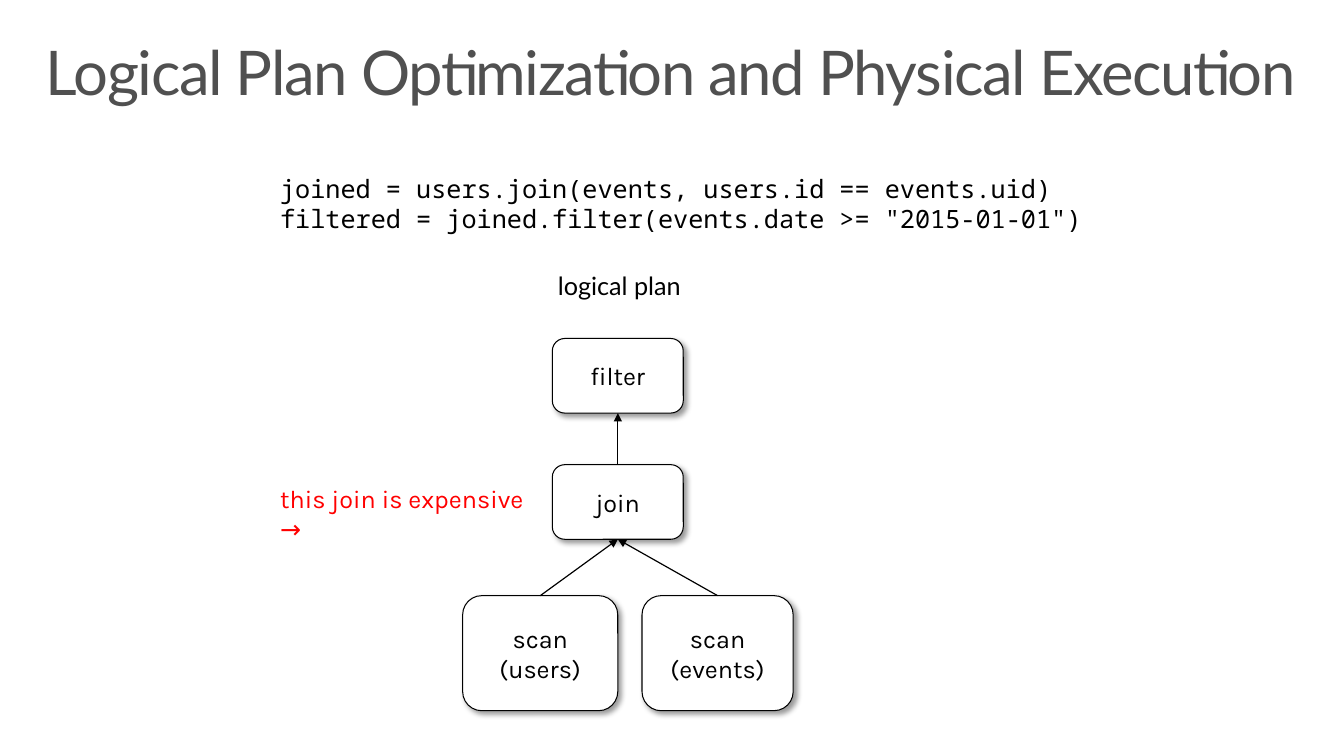
import dataclasses

import pptx
import pptx.dml.color
import pptx.enum.shapes
import pptx.enum.text
import pptx.oxml
import pptx.oxml.ns
import pptx.util

Cm = pptx.util.Cm
Pt = pptx.util.Pt
RGB = pptx.dml.color.RGBColor
ALIGN = pptx.enum.text.PP_ALIGN
ANCHOR = pptx.enum.text.MSO_ANCHOR
NS = pptx.oxml.ns.nsdecls("a")


@dataclasses.dataclass(frozen=True)
class Theme:
    ink: RGB = RGB(0x00, 0x00, 0x00)
    paper: RGB = RGB(0xFF, 0xFF, 0xFF)
    heading: RGB = RGB(0x50, 0x50, 0x50)
    warning: RGB = RGB(0xFF, 0x00, 0x00)
    sans: str = "Lato"
    node: str = "Karla"
    mono: str = "Noto Sans Mono"
    title_size: float = 44
    body_size: float = 18
    outline: float = 0.75
    arrow: float = 0.85


THEME = Theme()


def write(tf, lines, font, color, size=THEME.body_size, align=ALIGN.LEFT,
          anchor=ANCHOR.TOP, insets=(0.33, 0.18)):
    tf.word_wrap = True
    tf.auto_size = pptx.enum.text.MSO_AUTO_SIZE.NONE
    tf.vertical_anchor = anchor
    tf.margin_left = tf.margin_right = Cm(insets[0])
    tf.margin_top = tf.margin_bottom = Cm(insets[1])
    for i, line in enumerate(lines):
        p = tf.paragraphs[0] if i == 0 else tf.add_paragraph()
        p.alignment = align
        r = p.add_run()
        r.text = line
        r.font.name = font
        r.font.size = Pt(size)
        r.font.color.rgb = color


def add_title(s, box, text):
    sp = s.shapes.title
    sp.left, sp.top, sp.width, sp.height = map(Cm, box)
    write(sp.text_frame, [text], THEME.sans, THEME.heading, THEME.title_size,
          insets=(0.41, 0.25))
    p = sp.text_frame.paragraphs[0]
    p.line_spacing = 0.9
    p.space_before = Pt(0)
    p.runs[0].font._element.set("spc", "-100")


def add_text(s, box, lines, font, color, **style):
    sp = s.shapes.add_textbox(*map(Cm, box))
    write(sp.text_frame, lines, font, color, **style)


def add_node(s, box, lines):
    sp = s.shapes.add_shape(
        pptx.enum.shapes.MSO_SHAPE.ROUNDED_RECTANGLE, *map(Cm, box))
    sp.fill.solid()
    sp.fill.fore_color.rgb = THEME.paper
    sp.line.color.rgb = THEME.ink
    sp.line.width = Pt(THEME.outline)
    sp.shadow.inherit = False
    effects = sp._element.spPr.find(pptx.oxml.ns.qn("a:effectLst"))
    effects.append(pptx.oxml.parse_xml(
        f'<a:outerShdw {NS} blurRad="{Pt(4)}" dist="{Pt(3)}" dir="2700000" '
        f'algn="tl" rotWithShape="0"><a:srgbClr val="{THEME.ink}">'
        '<a:alpha val="40000"/></a:srgbClr></a:outerShdw>'))
    write(sp.text_frame, lines, THEME.node, THEME.ink, align=ALIGN.CENTER,
          anchor=ANCHOR.MIDDLE, insets=(0, 0))
    return sp


def add_arrow(s, child, parent):
    top, bottom = 0, 2
    cxn = s.shapes.add_connector(
        pptx.enum.shapes.MSO_CONNECTOR.STRAIGHT, 0, 0, 0, 0)
    cxn.begin_connect(child, top)
    cxn.end_connect(parent, bottom)
    cxn.line.color.rgb = THEME.ink
    cxn.line.width = Pt(THEME.arrow)
    cxn.line._get_or_add_ln().append(
        pptx.oxml.parse_xml(f'<a:tailEnd {NS} type="triangle"/>'))
    cxn._element.spPr.append(pptx.oxml.parse_xml(f"<a:effectLst {NS}/>"))


def add_plan(s, box):
    x, y, w, h = box
    users_w, events_w, scan_h = 3.91, 3.81, 2.9
    step_w, step_h = 3.3, 1.88
    axis = x + users_w
    scan_y = y + h - scan_h
    add_text(s, (axis - 2.41, y, 4.9, 1.02), ["logical plan"], THEME.sans,
             THEME.ink, align=ALIGN.CENTER, insets=(0.25, 0.13))
    filter_node, join_node = [
        add_node(s, (axis - step_w / 2, y + dy, step_w, step_h), [name])
        for name, dy in (("filter", 1.85), ("join", 5.03))]
    users = add_node(s, (x, scan_y, users_w, scan_h), ["scan", "(users)"])
    events = add_node(s, (x + w - events_w, scan_y, events_w, scan_h),
                      ["scan", "(events)"])
    for child, parent in ((join_node, filter_node), (users, join_node),
                          (events, join_node)):
        add_arrow(s, child, parent)


def main():
    prs = pptx.Presentation()
    prs.slide_width, prs.slide_height = Cm(33.87), Cm(19.05)
    s = prs.slides.add_slide(prs.slide_layouts.get_by_name("Title Only"))
    add_title(s, (0.74, 0.81, 32.39, 2.49),
              "Logical Plan Optimization and Physical Execution")
    add_text(s, (6.73, 4.19, 26.24, 1.96),
             ["joined = users.join(events, users.id == events.uid)",
              'filtered = joined.filter(events.date >= "2015-01-01")'],
             THEME.mono, THEME.ink)
    add_plan(s, (11.66, 6.68, 8.33, 11.23))
    add_text(s, (6.73, 11.99, 7.06, 1.14), ["this join is expensive →"],
             THEME.node, THEME.warning)
    prs.save("out.pptx")


if __name__ == "__main__":
    main()
